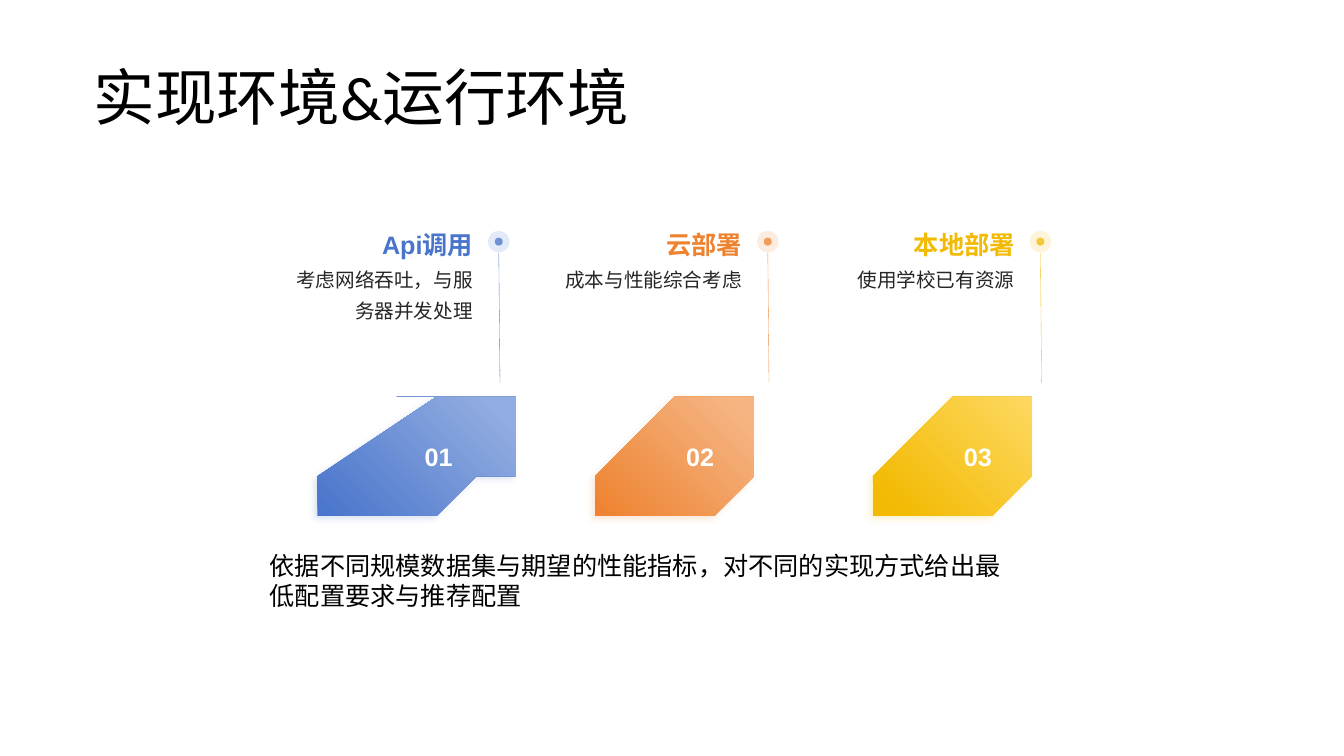
from lxml import etree
from pptx import Presentation
from pptx.dml.color import RGBColor
from pptx.enum.dml import MSO_LINE
from pptx.enum.shapes import MSO_CONNECTOR, MSO_SHAPE
from pptx.enum.text import MSO_ANCHOR, MSO_AUTO_SIZE, PP_ALIGN
from pptx.oxml.ns import qn
from pptx.util import Cm, Pt

LEFT, CENTER, RIGHT = PP_ALIGN.LEFT, PP_ALIGN.CENTER, PP_ALIGN.RIGHT
TOP, MIDDLE, BOTTOM = MSO_ANCHOR.TOP, MSO_ANCHOR.MIDDLE, MSO_ANCHOR.BOTTOM
OVAL, STRAIGHT = MSO_SHAPE.OVAL, MSO_CONNECTOR.STRAIGHT
DOTTED, GROW = MSO_LINE.SQUARE_DOT, MSO_AUTO_SIZE.SHAPE_TO_FIT_TEXT

ARROW_TOP = 9.65
ARROW_OUTLINE = [
    (2.13, 0.05), (2.24, 0), (4.32, 0), (4.39, 0.1), (4.39, 2.18), (4.34, 2.26),
    (4.24, 2.24), (4.11, 2.11), (3.99, 2.11), (3.23, 2.87), (3.18, 2.9),
    (0.1, 2.9), (0, 2.84), (0.03, 2.77), (2.29, 0.41), (2.29, 0.28), (2.16, 0.15),
]
DEPLOYMENTS = [
    (8.23, "01", "Api调用", "考虑网络吞吐，与服务器并发处理", "4874CB", "91ACE0", 0, 1.52),
    (15.01, "02", "云部署", "成本与性能综合考虑", "EE822F", "F5B482", 0, 1.7),
    (21.88, "03", "本地部署", "使用学校已有资源", "F2BA02", "FED961", 0.1, 1.7),
]


def rgb(hex_color):
    """Turn a hex string into a colour."""
    return RGBColor.from_string(hex_color)


class DeploymentSlide:
    """Hold the text style and the slide being built."""

    heading_font = "Arial"
    plain_font = "Calibri"

    def __init__(self, slide):
        """Keep the slide to draw on."""
        self.slide = slide

    def set_words(self, frame, words, size, color, font, bold=False, align=LEFT,
                  anchor=TOP, spacing=None):
        """Put one formatted paragraph in a text frame."""
        frame.text = words
        frame.vertical_anchor = anchor
        paragraph = frame.paragraphs[0]
        paragraph.alignment = align
        if spacing:
            paragraph.line_spacing = spacing
        for run in paragraph.runs:
            run.font.size = Pt(size)
            run.font.name = font
            run.font.bold = bold
            run.font.color.rgb = rgb(color)

    def title(self, words):
        """Fill and move the title placeholder."""
        heading = self.slide.shapes.title
        heading.left, heading.top = Cm(2.11), Cm(0.69)
        heading.width, heading.height = Cm(29.21), Cm(3.68)
        self.set_words(heading.text_frame, words, 44, "000000", self.plain_font,
                       anchor=MIDDLE, spacing=0.9)

    def label(self, left, top, width, height, words, margin=None, **style):
        """Add a wrapping text box."""
        box = self.slide.shapes.add_textbox(Cm(left), Cm(top), Cm(width), Cm(height))
        frame = box.text_frame
        frame.word_wrap = True
        if margin is not None:
            frame.margin_left = frame.margin_right = Cm(margin)
            frame.margin_top = frame.margin_bottom = Cm(margin)
        self.set_words(frame, words, **style)
        return frame

    def arrow(self, left, number, dark, light, start, inset):
        """Add a numbered arrow with a gradient and a soft shadow."""
        points = [(left + x, ARROW_TOP + y) for x, y in ARROW_OUTLINE]
        builder = self.slide.shapes.build_freeform(*points[0], scale=Cm(1))
        builder.add_line_segments(points[1:], close=True)
        arrow = builder.convert_to_shape()
        arrow.line.fill.background()
        arrow.fill.gradient()
        arrow.fill.gradient_angle = 45
        stops = zip(arrow.fill.gradient_stops, (dark, light), (start, start + 0.9))
        for stop, color, position in stops:
            stop.color.rgb = rgb(color)
            stop.position = position
        self.shadow(arrow, dark)
        frame = arrow.text_frame
        frame.word_wrap = False
        frame.margin_left, frame.margin_right = Cm(inset), Cm(0.41)
        self.set_words(frame, number, 18, "FFFFFF", self.heading_font, True, CENTER, MIDDLE)

    def shadow(self, shape, color):
        """Give a shape a coloured outer shadow."""
        shape.shadow.inherit = False
        effects = shape.element.spPr.find(qn("a:effectLst"))
        outer = etree.SubElement(effects, qn("a:outerShdw"), blurRad=str(Pt(5)),
                                 dist=str(Pt(3)), dir="8100000", algn="tr", rotWithShape="0")
        tint = etree.SubElement(outer, qn("a:srgbClr"), val=color)
        etree.SubElement(tint, qn("a:alpha"), val="20000")

    def dot(self, center_x, center_y, size, color, opacity):
        """Add a translucent circle around a centre."""
        circle = self.slide.shapes.add_shape(
            OVAL, Cm(center_x - size / 2), Cm(center_y - size / 2), Cm(size), Cm(size))
        circle.shadow.inherit = False
        circle.line.fill.background()
        circle.fill.solid()
        circle.fill.fore_color.rgb = rgb(color)
        tint = circle.element.spPr.find(qn("a:solidFill")).find(qn("a:srgbClr"))
        etree.SubElement(tint, qn("a:alpha"), val=str(opacity * 1000))

    def stem(self, x1, y1, x2, y2, color):
        """Add a thin dotted line."""
        line = self.slide.shapes.add_connector(STRAIGHT, Cm(x1), Cm(y1), Cm(x2), Cm(y2))
        line.line.color.rgb = rgb(color)
        line.line.width = Pt(0.25)
        line.line.dash_style = DOTTED
        etree.SubElement(line.element.spPr, qn("a:effectLst"))

    def deployment(self, left, number, name, detail, dark, light, start, inset):
        """Add one deployment option with its arrow, marker and text."""
        self.arrow(left, number, dark, light, start, inset)
        self.dot(left + 4.34, 6.09, 0.54, dark, 15)
        self.dot(left + 4.34, 6.09, 0.2, dark, 75)
        self.stem(left + 4.34, 6.37, left + 4.37, ARROW_TOP, dark)
        self.label(left - 1.24, 4.24, 4.93, 2.29, name, margin=0, size=18, color=dark,
                   font=self.heading_font, bold=True, align=RIGHT, anchor=BOTTOM)
        self.label(left - 1.24, 6.58, 4.93, 2.84, detail, margin=0, size=14, color="262626",
                   font=self.heading_font, align=RIGHT, spacing=1.3)


def main():
    """Build and save the slide."""
    deck = Presentation()
    deck.slide_width, deck.slide_height = Cm(33.87), Cm(19.05)
    page = DeploymentSlide(deck.slides.add_slide(deck.slide_layouts[5]))
    page.title("实现环境&运行环境")
    for option in DEPLOYMENTS:
        page.deployment(*option)
    summary = page.label(
        6.55, 13.74, 19.35, 1.8,
        "依据不同规模数据集与期望的性能指标，对不同的实现方式给出最低配置要求与推荐配置",
        size=18, color="000000", font=page.plain_font)
    summary.auto_size = GROW
    deck.save("out.pptx")


if __name__ == "__main__":
    main()
